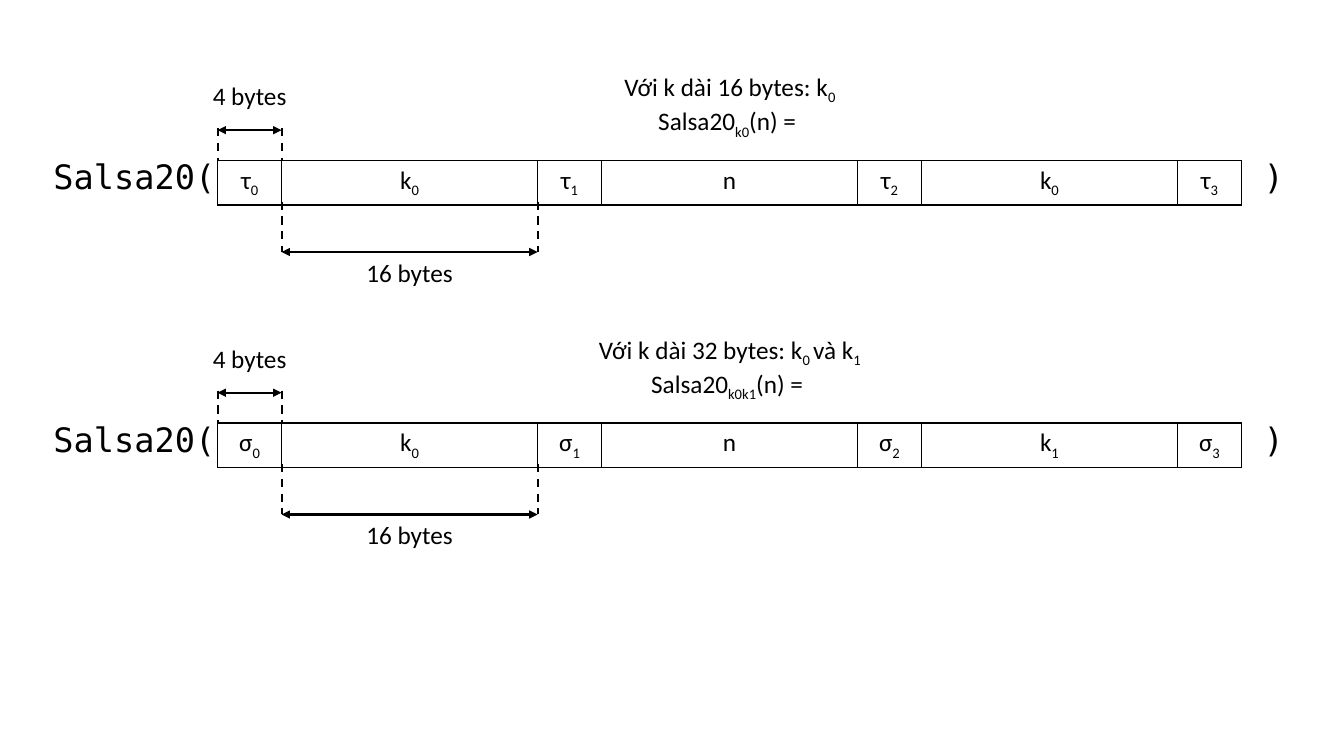
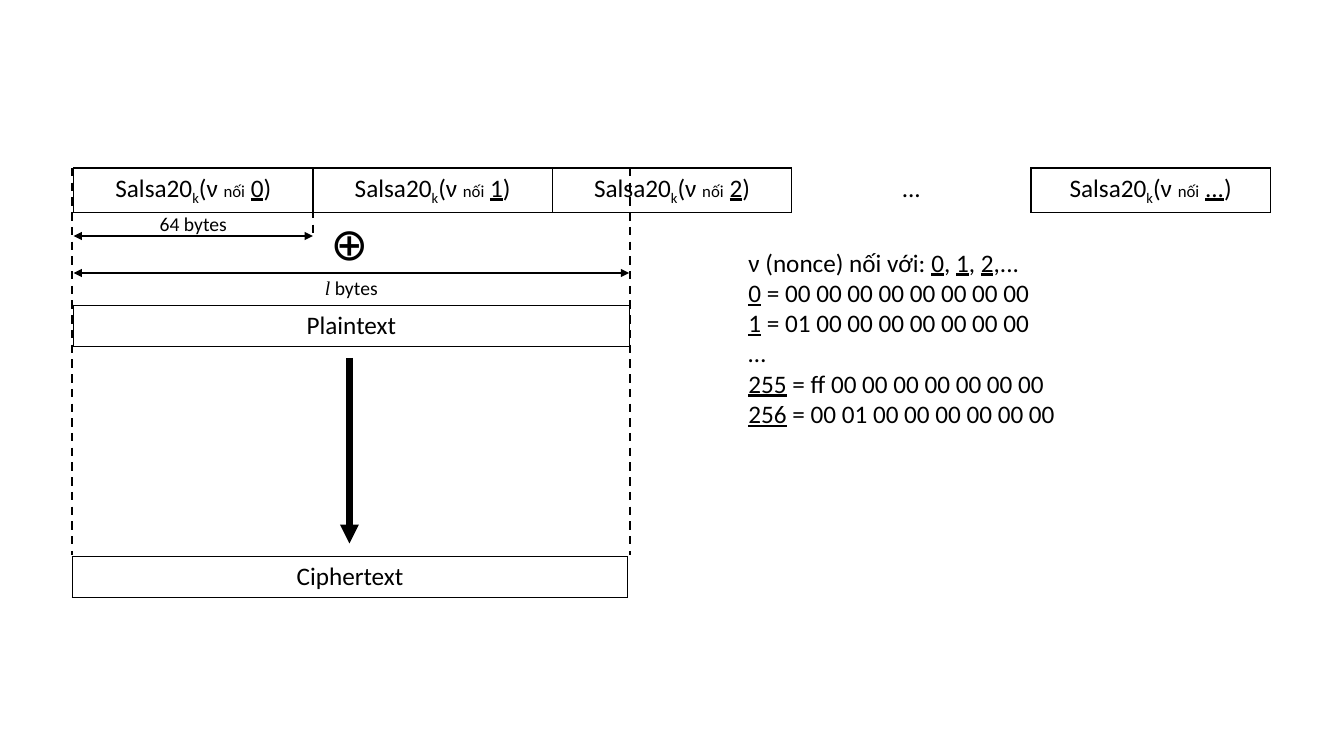
import lxml.etree
import pptx
import pptx.dml.color
import pptx.enum.dml
import pptx.enum.shapes
import pptx.enum.text
import pptx.oxml.ns
import pptx.util

WIDTH, HEIGHT = pptx.util.Inches(13.333), pptx.util.Inches(7.5)
COLUMNS, ROWS = 21, 18
INK, PAPER = "000000", "FFFFFF"
SANS, MONO, SERIF = "Calibri", "DejaVu Sans Mono", "Times New Roman"
MARKS = {
    "~": {},
    "_": {"underline": True},
    "^": {"size": pptx.util.Pt(12)},
    "*": {"italic": True, "name": SERIF},
}
CENTER = pptx.enum.text.PP_ALIGN.CENTER
LEFT = pptx.enum.text.PP_ALIGN.LEFT
ALL_SIDES = "LRTB"
BOTH_ENDS = ("headEnd", "tailEnd")


def color(hex_string):
    """Turn a hex string into a colour."""
    return pptx.dml.color.RGBColor.from_string(hex_string)


def across(columns):
    """Turn grid columns into a length."""
    return round(columns * WIDTH / COLUMNS)


def down(rows):
    """Turn grid rows into a length."""
    return round(rows * HEIGHT / ROWS)


def add_child(parent, tag, **attributes):
    """Append a drawing element with its attributes."""
    return lxml.etree.SubElement(parent, pptx.oxml.ns.qn("a:" + tag), attributes)


class Sketch:
    """Draws diagram elements in one style on the current slide."""

    def __init__(self):
        """Start an empty deck."""
        self.deck = pptx.Presentation()
        self.deck.slide_width, self.deck.slide_height = WIDTH, HEIGHT
        self.page = None

    def new_page(self):
        """Add a blank slide and make it current."""
        self.page = self.deck.slides.add_slide(self.deck.slide_layouts[6])

    def fill_text(self, frame, lines, size=18, font=SANS, align=CENTER):
        """Fill a frame with lines whose pieces are parted by bars and led by marks."""
        for number, line in enumerate(lines):
            para = frame.add_paragraph() if number else frame.paragraphs[0]
            para.alignment = align
            for piece in line.split("|"):
                mark = piece[:1] if piece[:1] in MARKS else ""
                span = para.add_run()
                span.text = piece[len(mark):]
                span.font.color.rgb = color(INK)
                values = {"name": font, "size": pptx.util.Pt(size)} | MARKS.get(mark, {})
                for name, value in values.items():
                    setattr(span.font, name, value)
                if mark == "~":
                    span._r.get_or_add_rPr().set("baseline", "-25000")

    def text(self, left, top, width, height, *lines, **style):
        """Place a wrapping text box."""
        box = self.page.shapes.add_textbox(
            across(left), down(top), across(width), down(height))
        box.text_frame.word_wrap = True
        self.fill_text(box.text_frame, lines, **style)

    def line(self, start, end, weight=1.5, dashed=False, arrows=()):
        """Draw a straight line between two grid points."""
        line = self.page.shapes.add_connector(
            pptx.enum.shapes.MSO_CONNECTOR.STRAIGHT,
            across(start[0]), down(start[1]), across(end[0]), down(end[1]))
        line.line.color.rgb = color(INK)
        line.line.width = pptx.util.Pt(weight)
        if dashed:
            line.line.dash_style = pptx.enum.dml.MSO_LINE.DASH
        for arrow in arrows:
            add_child(line.line._get_or_add_ln(), arrow, type="triangle")
        add_child(line._element.spPr, "effectLst")

    def border(self, cell, sides):
        """Rule the given sides of a cell and clear the others."""
        properties = cell._tc.get_or_add_tcPr()
        for side in ALL_SIDES:
            edge = add_child(properties, "ln" + side, w="12700")
            if side in sides:
                add_child(add_child(edge, "solidFill"), "srgbClr", val=INK)
            else:
                add_child(edge, "noFill")

    def strip(self, left, top, widths, labels, height=0.98, open_cell=None):
        """Draw a one-row table of labelled blocks."""
        table = self.page.shapes.add_table(
            1, len(widths), across(left), down(top),
            across(sum(widths)), down(height)).table
        table.first_row = table.horz_banding = False
        for number, (width, label) in enumerate(zip(widths, labels)):
            table.columns[number].width = across(width)
            cell = table.cell(0, number)
            self.border(cell, "LR" if number == open_cell else ALL_SIDES)
            cell.fill.solid()
            cell.fill.fore_color.rgb = color(PAPER)
            self.fill_text(cell.text_frame, [label])

    def measure(self, left, right, level, label, label_top, size=18):
        """Draw a double arrow with a centred label."""
        self.line((left, level), (right, level), arrows=BOTH_ENDS)
        self.text((left + right) / 2 - 1.76, label_top, 3.52, 0.96, label, size=size)

    def guides(self, top, bottom, *places):
        """Draw dashed verticals at the given columns."""
        for place in places:
            self.line((place, top), (place, bottom), dashed=True)


def draw_input(sketch, top, note, constant, second_key):
    """Draw the input blocks of the hash for one key length."""
    left, widths = 3.4, [1, 4, 1, 4, 1, 4, 1]
    middle, right, bottom = left + 1, left + 5, top + 0.98
    sketch.text(9.09, top - 2.24, 4.63, 1.7, *note)
    keys = ["k|~0", "n", second_key]
    labels = [f"{constant}|~{number}" for number in range(4)]
    for number, key in enumerate(keys):
        labels.insert(2 * number + 1, key)
    sketch.strip(left, top, widths, labels)
    sketch.measure(middle, right, top + 2.18, "16 bytes", top + 2.18)
    sketch.guides(bottom, top + 2.18, middle, right)
    sketch.measure(left, middle, top - 0.72, "4 bytes", top - 2.02)
    sketch.guides(top - 0.77, top, left, middle)
    for place, width, words in ((0.68, 2.91, "Salsa20("), (19.59, 1.2, ")")):
        sketch.text(place, top - 0.22, width, 1.2, words, size=24, font=MONO, align=LEFT)


def draw_inputs(sketch):
    """Draw the slide with both key lengths."""
    sketch.new_page()
    draw_input(sketch, 3.82, ["Với k dài 16 bytes: k|~0", "Salsa20|~k0|(n) = "],
               "τ", "k|~0")
    draw_input(sketch, 10.07, ["Với k dài 32 bytes: k|~0 |và k|~1", "Salsa20|~k0k1|(n) = "],
               "σ", "k|~1")


def draw_encryption(sketch):
    """Draw the slide that joins key stream and plaintext."""
    sketch.new_page()
    left, block, length, center = 1.15, 3.74, 8.68, 5.46
    labels = [f"Salsa20|~k|(ν |^nối| |_{count}|)" for count in ("0", "1", "2", "...")]
    labels.insert(3, "...")
    sketch.strip(left, 4, [block] * 5, labels, height=1, open_cell=3)
    sketch.text(11.54, 5.76, 5.23, 4.61,
                "ν (nonce) nối với: |_0|, |_1|, |_2|,...",
                "_0| = 00 00 00 00 00 00 00 00",
                "_1| = 01 00 00 00 00 00 00 00",
                "…",
                "_255| = ff 00 00 00 00 00 00 00",
                "_256| = 00 01 00 00 00 00 00 00", align=LEFT)
    sketch.measure(left, left + block, 5.62, "64 bytes", 4.94, size=14)
    sketch.guides(5, 5.62, left + block)
    sketch.strip(left, 7.27, [length], ["Plaintext"])
    sketch.guides(4, 13.22, 1.13, 9.85)
    sketch.measure(left, left + length, 6.5, "*l| bytes", 6.46, size=14)
    sketch.strip(1.13, 13.25, [length], ["Ciphertext"])
    sketch.text(center - 0.65, 5.02, 1.3, 1.54, "⊕", size=32)
    sketch.line((center, 8.52), (center, 12.94), weight=4.5, arrows=["tailEnd"])


def main():
    """Build and save the deck."""
    sketch = Sketch()
    draw_inputs(sketch)
    draw_encryption(sketch)
    sketch.deck.save("out.pptx")


if __name__ == "__main__":
    main()
